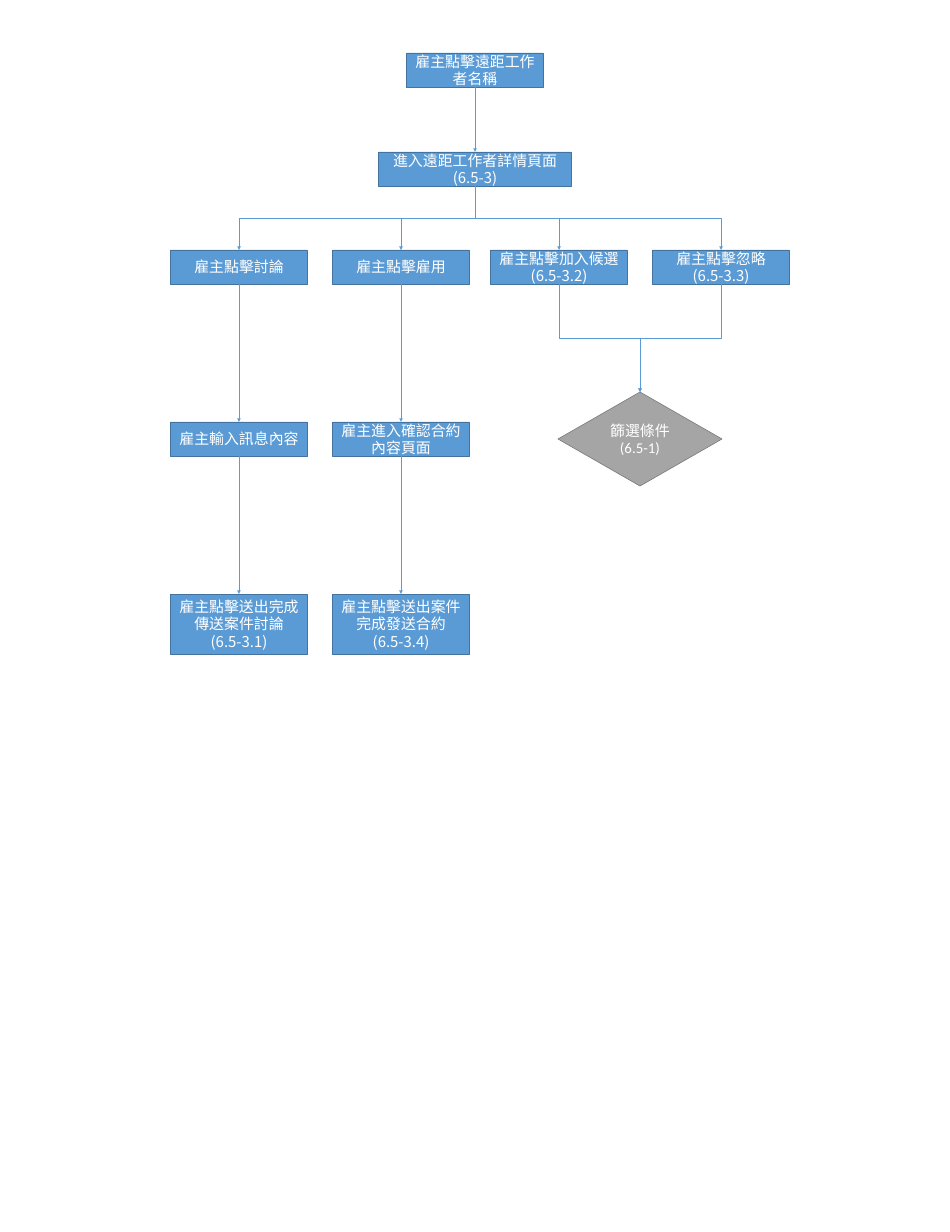
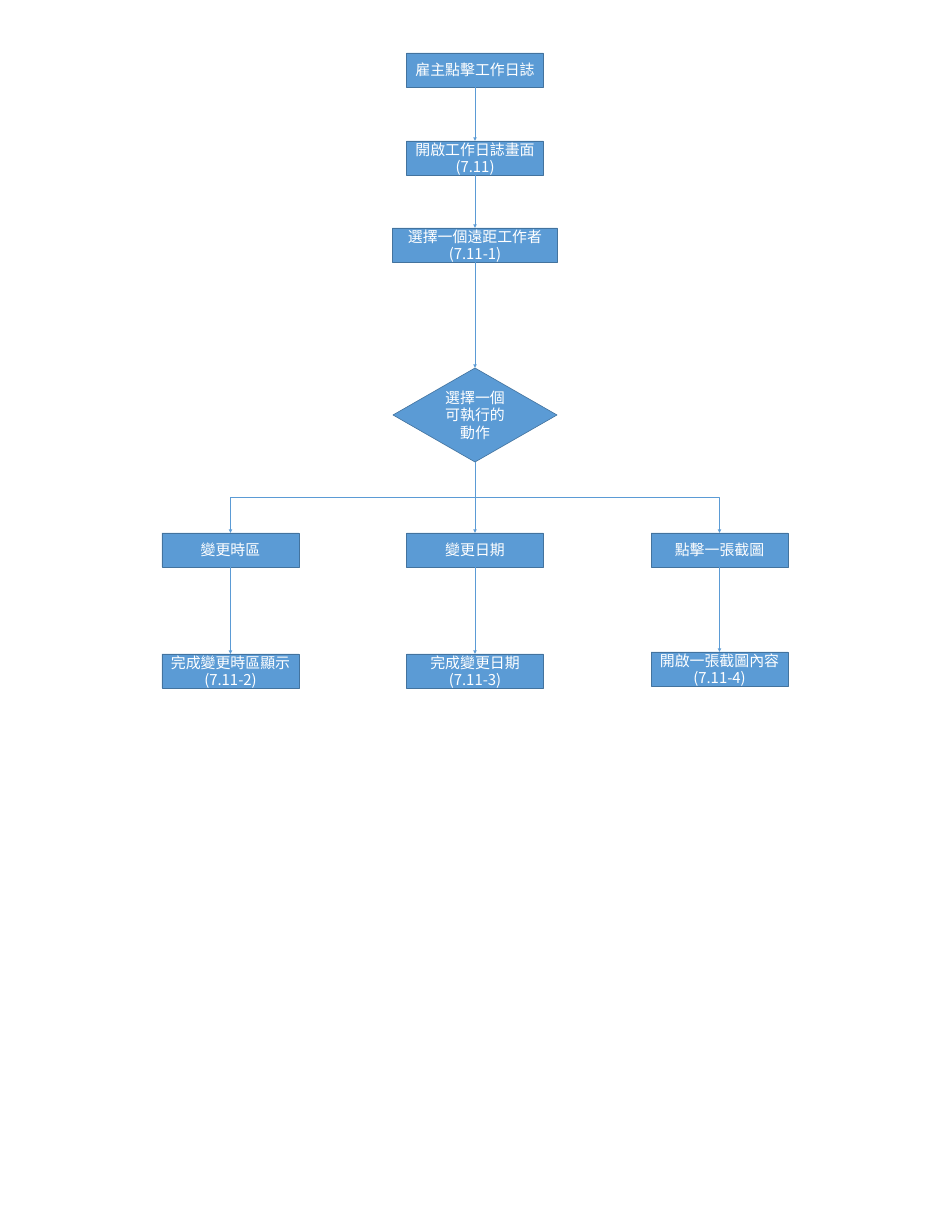
from dataclasses import dataclass

from lxml import etree
from pptx import Presentation
from pptx.dml.color import RGBColor
from pptx.enum.shapes import MSO_CONNECTOR, MSO_SHAPE
from pptx.enum.text import MSO_ANCHOR, PP_ALIGN
from pptx.oxml.ns import qn
from pptx.util import Pt

RECT, DIAMOND = MSO_SHAPE.RECTANGLE, MSO_SHAPE.DIAMOND
STRAIGHT, ELBOW = MSO_CONNECTOR.STRAIGHT, MSO_CONNECTOR.ELBOW
MIDDLE, CENTER = MSO_ANCHOR.MIDDLE, PP_ALIGN.CENTER

SCALE = 914400 / 44.7
WIDTH, HEIGHT = 950, 1232
MID = WIDTH // 2
TOP = 53
BOX_W, BOX_H, TALL_H = 137, 34, 60
GEM_W, GEM_H = 164, 94
BOTTOM_SITE, TOP_SITE = 2, 0


@dataclass(frozen=True)
class Theme:
    blue: str = "5B9BD5"
    navy: str = "43739E"
    gray: str = "A5A5A5"
    dark: str = "7A7A7A"
    white: str = "FFFFFF"
    cjk: str = "Noto Sans CJK SC"
    latin: str = "Calibri"
    size: float = 24
    edge: float = 1
    wire: float = 0.5


THEME = Theme()


def px(n):
    return round(n * SCALE)


def rgb(code):
    return RGBColor.from_string(code)


def node(slide, kind, mid, top, w, h, text, fill, line, font):
    """Filled shape centred on mid, with centred text."""
    shape = slide.shapes.add_shape(kind, px(mid - w / 2), px(top), px(w), px(h))
    shape.shadow.inherit = False
    shape.fill.solid()
    shape.fill.fore_color.rgb = rgb(fill)
    shape.line.color.rgb = rgb(line)
    shape.line.width = Pt(THEME.edge)
    frame = shape.text_frame
    frame.word_wrap = True
    frame.vertical_anchor = MIDDLE
    frame.text = text
    for para in frame.paragraphs:
        para.alignment = CENTER
        para.font.name = font
        para.font.size = Pt(THEME.size)
        para.font.color.rgb = rgb(THEME.white)
    return shape


def box(slide, mid, top, text, w=BOX_W, h=BOX_H):
    return node(slide, RECT, mid, top, w, h, text,
                THEME.blue, THEME.navy, THEME.cjk)


def gem(slide, mid, top, text, fill=THEME.blue, line=THEME.navy):
    return node(slide, DIAMOND, mid, top, GEM_W, GEM_H, text,
                fill, line, THEME.latin)


def turn(link, x1, y1, x2, y2):
    """Turn an elbow so that it leaves and arrives vertically."""
    run, rise = abs(x2 - x1), y2 - y1
    link.left, link.top = (x1 + x2 - rise) // 2, (y1 + y2 - run) // 2
    link.width, link.height = rise, run
    right = x2 > x1
    xfrm = link._element.spPr.find(qn("a:xfrm"))
    xfrm.set("rot", str((270 if right else 90) * 60000))
    xfrm.set("flipH", "1" if right else "0")


def arrow(slide, start, end):
    """Arrow from the bottom of start to the top of end."""
    x1, x2 = (s.left + s.width // 2 for s in (start, end))
    bent = abs(x2 - x1) > px(1)
    link = slide.shapes.add_connector(ELBOW if bent else STRAIGHT, 0, 0, 0, 0)
    link.begin_connect(start, BOTTOM_SITE)
    link.end_connect(end, TOP_SITE)
    if bent:
        turn(link, x1, start.top + start.height, x2, end.top)
    link.line.color.rgb = rgb(THEME.blue)
    link.line.width = Pt(THEME.wire)
    line = link.line._get_or_add_ln()
    etree.SubElement(line, qn("a:tailEnd"), type="triangle")
    etree.SubElement(link._element.spPr, qn("a:effectLst"))


def chain(slide, *nodes):
    for start, end in zip(nodes, nodes[1:]):
        arrow(slide, start, end)


def hire(slide):
    """Flow from a worker's name to the four choices."""
    row, step = 250, 172
    name = box(slide, MID, TOP, "雇主點擊遠距工作者名稱")
    page = box(slide, MID, 152, "進入遠距工作者詳情頁面\v(6.5-3)", w=193)
    arrow(slide, name, page)

    # Two columns that run down to a sent message or contract
    columns = (
        (239, "雇主點擊討論", "雇主輸入訊息內容",
         "雇主點擊送出完成傳送案件討論\v(6.5-3.1)"),
        (401, "雇主點擊雇用", "雇主進入確認合約內容頁面",
         "雇主點擊送出案件完成發送合約\v(6.5-3.4)"),
    )
    for mid, first, second, last in columns:
        chain(slide, page,
              box(slide, mid, row, first),
              box(slide, mid, row + step, second),
              box(slide, mid, row + 2 * step, last, h=TALL_H))

    # Two choices that meet at the filter
    sift = gem(slide, 640, 392, "篩選條件\v(6.5-1)", THEME.gray, THEME.dark)
    for mid, text in ((559, "雇主點擊加入候選\v(6.5-3.2)"),
                      (721, "雇主點擊忽略\n(6.5-3.3)")):
        chain(slide, page, box(slide, mid, row, text), sift)


def diary(slide):
    """Flow from the work diary to its three actions."""
    pick = gem(slide, MID, 368, "選擇一個可執行的動作")
    chain(slide,
          box(slide, MID, TOP, "雇主點擊工作日誌"),
          box(slide, MID, 141, "開啟工作日誌畫面\v(7.11)"),
          box(slide, MID, 228, "選擇一個遠距工作者\v(7.11-1)", w=165),
          pick)

    # Actions and their results
    gap = 244.5
    actions = (
        ("變更時區", "完成變更時區顯示\n(7.11-2)", 654),
        ("變更日期", "完成變更日期\n(7.11-3)", 654),
        ("點擊一張截圖", "開啟一張截圖內容\n(7.11-4)", 652),
    )
    for i, (act, done, top) in enumerate(actions):
        mid = MID + (i - 1) * gap
        chain(slide, pick, box(slide, mid, 533, act),
              box(slide, mid, top, done))


def main():
    deck = Presentation()
    deck.slide_width, deck.slide_height = px(WIDTH), px(HEIGHT)
    blank = deck.slide_layouts[6]
    for flow in (hire, diary):
        flow(deck.slides.add_slide(blank))
    deck.save("out.pptx")


main()
